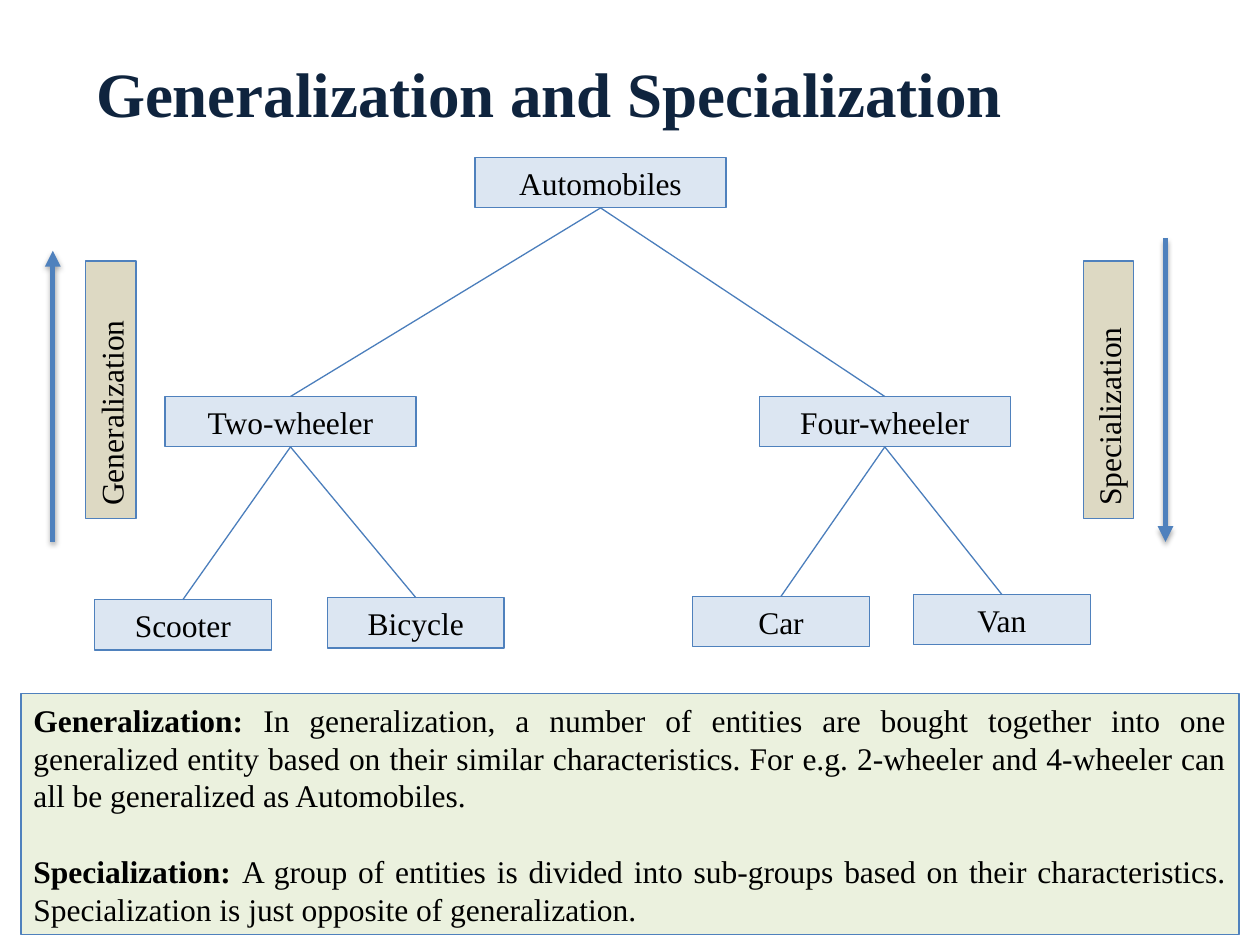
from dataclasses import dataclass
from typing import Optional

from lxml.etree import SubElement
from pptx import Presentation
from pptx.dml.color import RGBColor
from pptx.enum.shapes import MSO_CONNECTOR as Connector, MSO_SHAPE as Shape
from pptx.enum.text import MSO_ANCHOR as Anchor, MSO_AUTO_SIZE as AutoSize, PP_ALIGN as Align
from pptx.oxml.ns import qn
from pptx.util import Pt

FONT = "Times New Roman"
NAVY = RGBColor(0x0F, 0x24, 0x3E)
BLACK = RGBColor(0, 0, 0)
BLUE = RGBColor(0x4F, 0x81, 0xBD)
BRANCH_BLUE = RGBColor(0x4B, 0x7E, 0xBC)
PALE_BLUE = RGBColor(0xDC, 0xE6, 0xF2)
TAN = RGBColor(0xDD, 0xD9, 0xC3)
PALE_GREEN = RGBColor(0xEB, 0xF1, 0xDE)
BOX_HEIGHT = 28.8
WIDE, NARROW = 143.5, 101
BODY_SIZE = 18
PARAGRAPH_GAP = 21.5


@dataclass(frozen=True)
class Node:
    name: str
    center: float
    top: float
    width: float
    parent: Optional["Node"] = None


@dataclass(frozen=True)
class Direction:
    name: str
    label_center: float
    arrow_x: float
    start: float
    end: float


@dataclass(frozen=True)
class Definition:
    term: str
    meaning: str


AUTOMOBILES = Node("Automobiles", 343.2, 90, WIDE)
TWO_WHEELER = Node("Two-wheeler", 166, 226.6, WIDE, AUTOMOBILES)
FOUR_WHEELER = Node("Four-wheeler", 505.6, 226.6, WIDE, AUTOMOBILES)
NODES = [
    AUTOMOBILES,
    TWO_WHEELER,
    FOUR_WHEELER,
    Node("Scooter", 104.5, 342.7, NARROW, TWO_WHEELER),
    Node("Bicycle", 237.6, 341.5, NARROW, TWO_WHEELER),
    Node("Car", 446.3, 340.8, NARROW, FOUR_WHEELER),
    Node("Van", 572.5, 339.7, NARROW, FOUR_WHEELER),
]
DIRECTIONS = [
    Direction("Generalization", 63.4, 30.2, 309.6, 143.3),
    Direction("Specialization", 633.4, 666, 136, 309.6),
]
DEFINITIONS = [
    Definition(
        "Generalization: ",
        "In generalization, a number of entities are bought together into one "
        "generalized entity based on their similar characteristics. For e.g. "
        "2-wheeler and 4-wheeler can all be generalized as Automobiles.",
    ),
    Definition(
        "Specialization: ",
        "A group of entities is divided into sub-groups based on their "
        "characteristics. Specialization is just opposite of generalization.",
    ),
]


def format_font(font, size: float, color: RGBColor, bold: bool = False) -> None:
    font.name = FONT
    font.size = Pt(size)
    font.bold = bold
    font.color.rgb = color


def add_box(page, left: float, top: float, width: float, height: float, fill: RGBColor):
    box = page.shapes.add_shape(Shape.RECTANGLE, Pt(left), Pt(top), Pt(width), Pt(height))
    box.shadow.inherit = False
    box.fill.solid()
    box.fill.fore_color.rgb = fill
    box.line.color.rgb = BLUE
    box.line.width = Pt(0.75)
    box.text_frame.word_wrap = True
    return box


def add_label(box, text: str, align: Align) -> None:
    para = box.text_frame.paragraphs[0]
    para.text = text
    para.alignment = align
    format_font(para.runs[0].font, BODY_SIZE, BLACK)


def add_line(page, x1: float, y1: float, x2: float, y2: float, color: RGBColor, width: float):
    line = page.shapes.add_connector(Connector.STRAIGHT, Pt(x1), Pt(y1), Pt(x2), Pt(y2))
    line.line.color.rgb = color
    line.line.width = Pt(width)
    effects = SubElement(line.element.spPr, qn("a:effectLst"))
    return line, effects


def add_node(page, node: Node) -> None:
    box = add_box(page, node.center - node.width / 2, node.top, node.width, BOX_HEIGHT, PALE_BLUE)
    add_label(box, node.name, Align.CENTER)
    if node.parent:
        add_line(page, node.parent.center, node.parent.top + BOX_HEIGHT,
                 node.center, node.top, BRANCH_BLUE, 0.75)


def add_direction(page, direction: Direction) -> None:
    length, middle = 147, 222.6
    box = add_box(page, direction.label_center - length / 2, middle - BOX_HEIGHT / 2,
                  length, BOX_HEIGHT, TAN)
    box.rotation = 270
    add_label(box, direction.name, Align.LEFT)
    arrow, effects = add_line(page, direction.arrow_x, direction.start,
                              direction.arrow_x, direction.end, BLUE, 3)
    SubElement(arrow.line._get_or_add_ln(), qn("a:tailEnd"), type="triangle")
    shadow = SubElement(effects, qn("a:outerShdw"), blurRad=str(Pt(3.1)), dist=str(Pt(1.8)),
                        dir="5400000", rotWithShape="0")
    color = SubElement(shadow, qn("a:srgbClr"), val=str(BLACK))
    SubElement(color, qn("a:alpha"), val="35000")


def add_definitions(page, definitions: list[Definition]) -> None:
    frame = add_box(page, 12, 396.2, 696, 138, PALE_GREEN).text_frame
    for index, definition in enumerate(definitions):
        para = frame.add_paragraph() if index else frame.paragraphs[0]
        para.alignment = Align.JUSTIFY
        if index:
            para.space_before = Pt(PARAGRAPH_GAP)
        for text, bold in ((definition.term, True), (definition.meaning, False)):
            span = para.add_run()
            span.text = text
            format_font(span.font, BODY_SIZE, BLACK, bold)


def format_title(title, text: str) -> None:
    title.left, title.top, title.width, title.height = Pt(54), Pt(29.5), Pt(535), Pt(44.6)
    frame = title.text_frame
    frame.text = text
    frame.auto_size = AutoSize.NONE
    frame.vertical_anchor = Anchor.BOTTOM
    frame.margin_left = Pt(0.9)
    frame.margin_top = frame.margin_right = frame.margin_bottom = 0
    para = frame.paragraphs[0]
    para.alignment = Align.LEFT
    format_font(para.runs[0].font, 36, NAVY, True)


def main() -> None:
    deck = Presentation()
    deck.slide_width, deck.slide_height = Pt(720), Pt(540)
    page = deck.slides.add_slide(deck.slide_layouts[5])
    format_title(page.shapes.title, "Generalization and Specialization")
    for node in NODES:
        add_node(page, node)
    for direction in DIRECTIONS:
        add_direction(page, direction)
    add_definitions(page, DEFINITIONS)
    deck.save("out.pptx")


if __name__ == "__main__":
    main()
